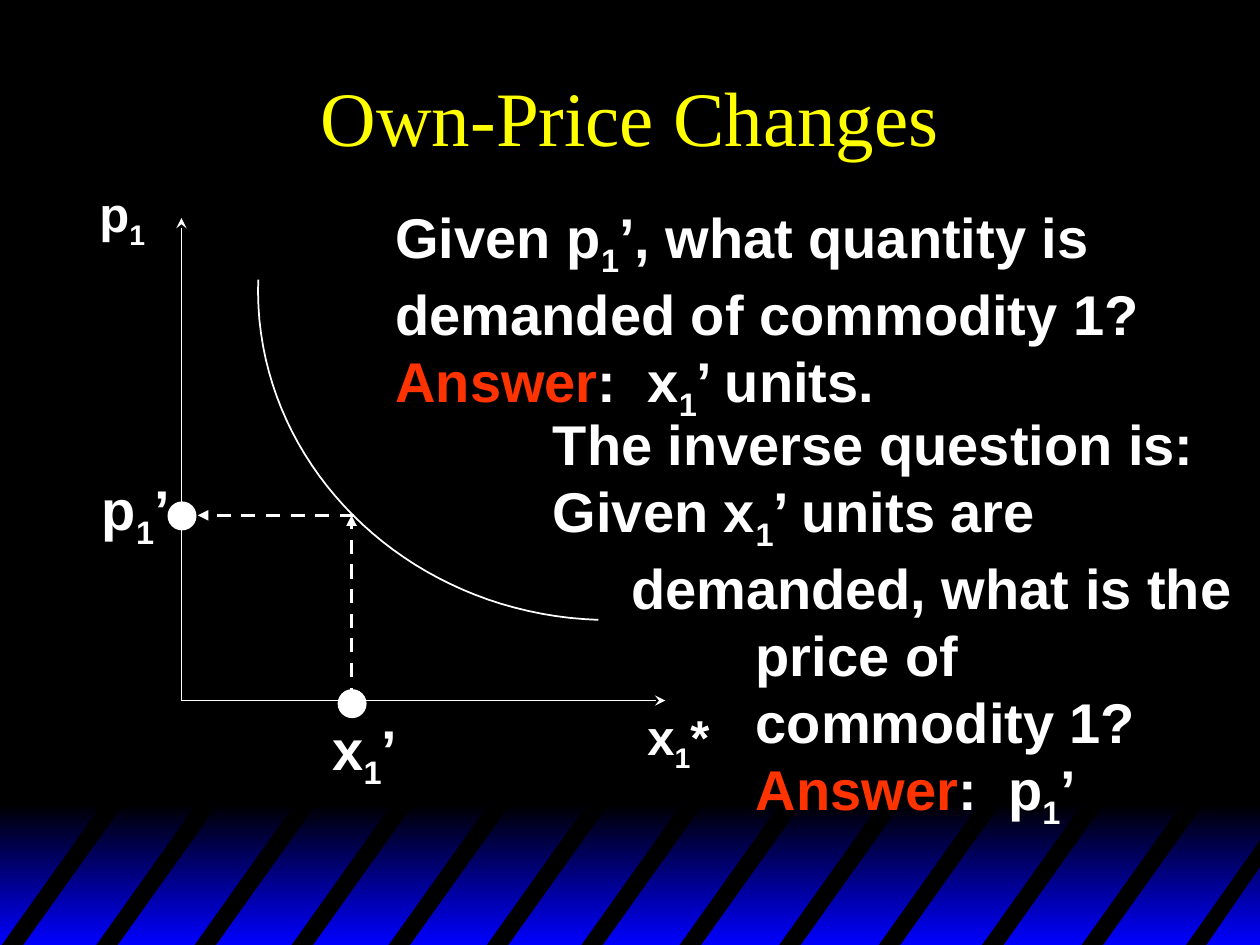
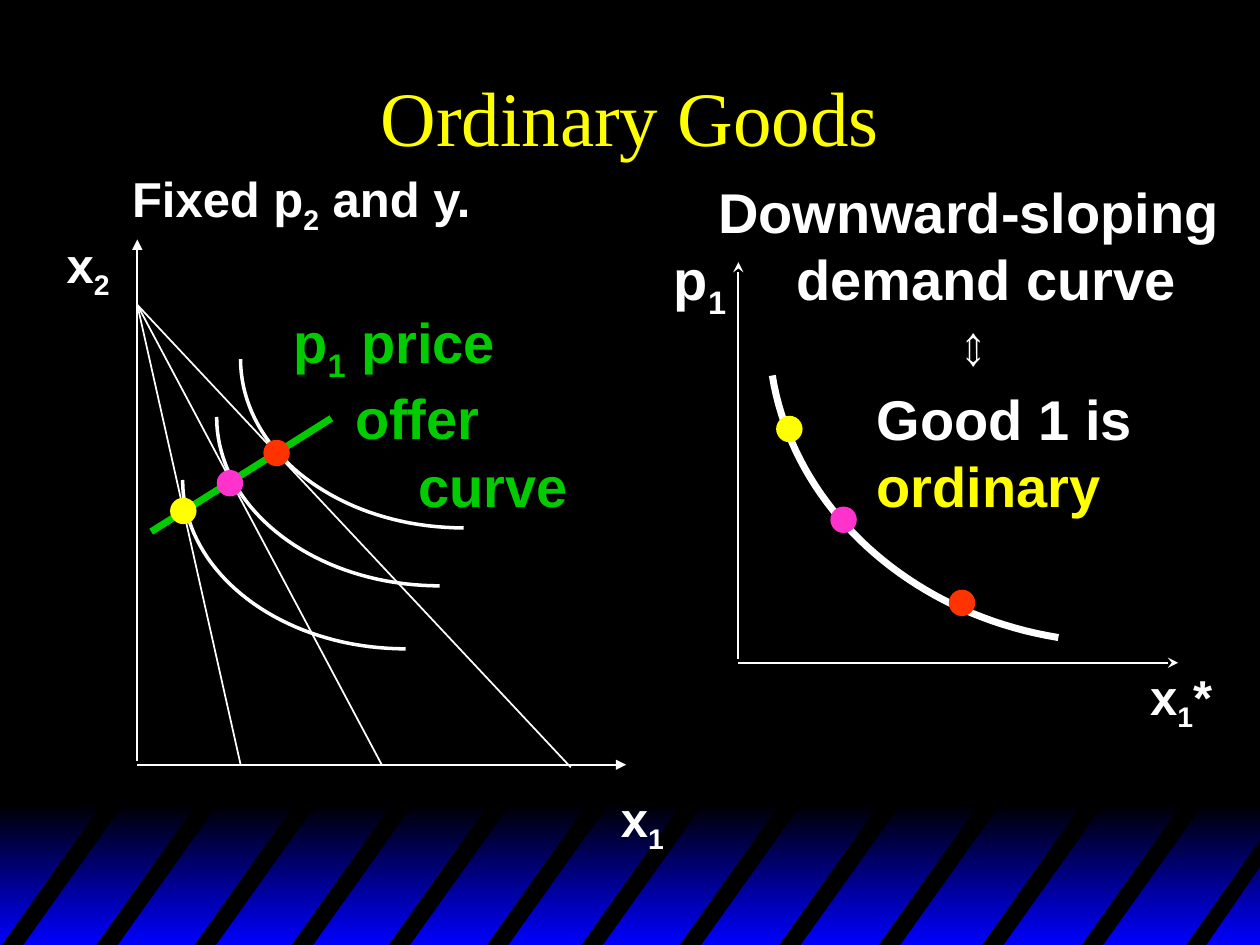
from dataclasses import dataclass

from lxml import etree
from pptx import Presentation
from pptx.dml.color import RGBColor
from pptx.enum.dml import MSO_LINE
from pptx.enum.shapes import MSO_CONNECTOR, MSO_SHAPE
from pptx.enum.text import MSO_ANCHOR, PP_ALIGN
from pptx.oxml.ns import qn
from pptx.util import Inches, Pt

STRAIGHT = MSO_CONNECTOR.STRAIGHT
RECTANGLE = MSO_SHAPE.RECTANGLE
OVAL = MSO_SHAPE.OVAL
DASH = MSO_LINE.DASH
MIDDLE = MSO_ANCHOR.MIDDLE
CENTER = PP_ALIGN.CENTER
TITLE_ONLY = 5
CURVE_STEPS = 40


@dataclass(frozen=True)
class Theme:
    black: RGBColor = RGBColor(0x00, 0x00, 0x00)
    white: RGBColor = RGBColor(0xFF, 0xFF, 0xFF)
    blue: RGBColor = RGBColor(0x00, 0x00, 0xFF)
    yellow: RGBColor = RGBColor(0xFF, 0xFF, 0x00)
    red: RGBColor = RGBColor(0xFF, 0x33, 0x00)
    pink: RGBColor = RGBColor(0xFF, 0x33, 0xCC)
    green: RGBColor = RGBColor(0x00, 0xCC, 0x00)
    title_font: str = "Times New Roman"
    body_font: str = "Arial"
    title_size: int = 44
    body_size: int = 32
    label_size: int = 28


THEME = Theme()


@dataclass(frozen=True)
class Piece:
    text: str
    color: RGBColor = None
    tracking: float = 0


@dataclass(frozen=True)
class Line:
    pieces: tuple
    indent: float = 0


def line(text, indent=0, color=None):
    return Line((Piece(text, color),), indent)


def answer(text, indent=0):
    pieces = (Piece("Answer", THEME.red), Piece(":"), Piece(" ", tracking=8.9), Piece(text))
    return Line(pieces, indent)


def style_font(font, name, size, color, bold=False):
    font.name = name
    font.size = Pt(size)
    font.bold = bold
    font.color.rgb = color


def add_run(paragraph, text, piece, subscript=False):
    if not text:
        return
    run = paragraph.add_run()
    run.text = text
    if piece.color is not None:
        run.font.color.rgb = piece.color
    properties = run._r.get_or_add_rPr()
    if piece.tracking:
        properties.set("spc", str(round(piece.tracking * 100)))
    if subscript:
        properties.set("baseline", "-25000")


def add_piece(paragraph, piece):
    first, *rest = piece.text.split("_")
    add_run(paragraph, first, piece)
    for part in rest:
        add_run(paragraph, part[0], piece, subscript=True)
        add_run(paragraph, part[1:], piece)


def add_text(slide, box, lines, size=THEME.body_size, color=THEME.white):
    holder = slide.shapes.add_textbox(*map(Inches, box))
    frame = holder.text_frame
    frame.word_wrap = True
    for index, content in enumerate(lines):
        paragraph = frame.paragraphs[0] if index == 0 else frame.add_paragraph()
        if content.indent:
            paragraph._p.get_or_add_pPr().set("marL", str(Inches(content.indent)))
        style_font(paragraph.font, THEME.body_font, size, color, bold=True)
        for piece in content.pieces:
            add_piece(paragraph, piece)
    return holder


def add_label(slide, left, top, text, size=THEME.label_size):
    add_text(slide, (left, top, 0.85, 0.65), [line(text)], size)


def add_line(slide, start, end, color=THEME.white, width=1, arrow=None, dashed=False):
    connector = slide.shapes.add_connector(STRAIGHT, *map(Inches, (*start, *end)))
    connector.line.color.rgb = color
    connector.line.width = Pt(width)
    if dashed:
        connector.line.dash_style = DASH
    properties = connector._element.spPr
    if arrow:
        etree.SubElement(properties.find(qn("a:ln")), qn("a:tailEnd"), type=arrow)
    etree.SubElement(properties, qn("a:effectLst"))


def add_freeform(slide, points, close):
    first, *rest = [tuple(map(Inches, point)) for point in points]
    builder = slide.shapes.build_freeform(*first)
    builder.add_line_segments(rest, close=close)
    outline = builder.convert_to_shape()
    outline.shadow.inherit = False
    return outline


def bezier_point(controls, t):
    weights = ((1 - t) ** 3, 3 * t * (1 - t) ** 2, 3 * t ** 2 * (1 - t), t ** 3)
    return tuple(sum(w * c for w, c in zip(weights, axis)) for axis in zip(*controls))


def add_curve(slide, controls, width):
    points = [bezier_point(controls, step / CURVE_STEPS) for step in range(CURVE_STEPS + 1)]
    curve = add_freeform(slide, points, close=False)
    curve.fill.background()
    curve.line.color.rgb = THEME.white
    curve.line.width = Pt(width)


def add_indifference_curve(slide, left, top):
    offsets = ((0, 0), (0, 0.74), (0.79, 1.34), (1.77, 1.34))
    add_curve(slide, [(left + x, top + y) for x, y in offsets], 2)


def add_dot(slide, left, top, size, color):
    dot = slide.shapes.add_shape(OVAL, *map(Inches, (left, top, size, size)))
    dot.shadow.inherit = False
    dot.fill.solid()
    dot.fill.fore_color.rgb = color
    dot.line.fill.background()


def add_striped_band(slide):
    band = slide.shapes.add_shape(RECTANGLE, *map(Inches, (0, 6.38, 10.02, 1.12)))
    band.shadow.inherit = False
    band.line.fill.background()
    band.fill.gradient()
    band.fill.gradient_angle = 270
    for stop, color in zip(band.fill.gradient_stops, (THEME.black, THEME.blue)):
        stop.color.rgb = color

    top, bottom, lean, thickness = 6.34, 7.52, 0.84, 0.17
    lefts = (0, 0.75, 1.53, 2.3, 3.07, 3.85, 4.6, 5.38, 6.17, 6.96, 7.78, 8.57)
    outlines = [
        ((x, bottom), (x + lean, top), (x + lean + thickness, top), (x + thickness, bottom))
        for x in lefts
    ]
    outlines.append(((9.4, bottom), (10.02, 6.64), (10.02, 6.85), (9.56, bottom)))
    stripes = [add_freeform(slide, outline, close=True) for outline in outlines]
    for stripe in stripes:
        stripe.fill.solid()
        stripe.fill.fore_color.rgb = THEME.black
        stripe.line.fill.background()
    return [band, *stripes]


def set_up_layout(layout, slide):
    layout.background.fill.solid()
    layout.background.fill.fore_color.rgb = THEME.black
    for part in add_striped_band(slide):
        layout.shapes._spTree.append(part._element)


def add_titled_slide(presentation, heading):
    slide = presentation.slides.add_slide(presentation.slide_layouts[TITLE_ONLY])
    title = slide.shapes.title
    title.left, title.top, title.width, title.height = map(Inches, (0.75, 0.25, 8.5, 1.33))
    title.text_frame.text = heading
    title.text_frame.vertical_anchor = MIDDLE
    paragraph = title.text_frame.paragraphs[0]
    paragraph.alignment = CENTER
    style_font(paragraph.font, THEME.title_font, THEME.title_size, THEME.yellow)
    return slide


def draw_inverse_demand(slide):
    add_line(slide, (1.44, 5.56), (1.44, 1.73), arrow="stealth")
    add_line(slide, (1.44, 5.56), (5.28, 5.56), arrow="stealth")
    add_label(slide, 0.69, 1.41, "p_1")
    add_label(slide, 5.04, 5.56, "x_1*")
    add_curve(slide, ((2.05, 2.22), (2, 3.66), (3.21, 4.87), (4.75, 4.92)), 1)
    add_line(slide, (2.81, 4.09), (1.57, 4.09), width=2, arrow="triangle", dashed=True)
    add_line(slide, (2.79, 5.57), (2.79, 4.09), width=2, arrow="triangle", dashed=True)
    add_label(slide, 0.71, 3.72, "p_1’", THEME.body_size)
    add_label(slide, 2.54, 5.62, "x_1’", THEME.body_size)
    add_text(slide, (3.04, 1.56, 6.3, 1.85), [
        line("Given p_1’, what quantity is"),
        line("demanded of commodity 1?"),
        answer("x_1’ units."),
    ])
    add_dot(slide, 1.33, 3.98, 0.23, THEME.white)
    add_text(slide, (4.29, 3.2, 5.7, 3.45), [
        line("The inverse question is:"),
        line("Given x_1’ units are"),
        line("demanded, what is the", 0.62),
        line("price of", 1.61),
        line("commodity 1?", 1.61),
        answer("p_1’", 1.61),
    ])
    add_dot(slide, 2.68, 5.47, 0.23, THEME.white)


def draw_offer_curve(slide):
    add_text(slide, (0.95, 1.29, 3.05, 0.63), [line("Fixed p_2 and y.")], THEME.label_size)
    add_line(slide, (1.09, 6.04), (1.09, 1.9), arrow="triangle")
    add_line(slide, (1.09, 6.07), (4.97, 6.07), arrow="triangle")
    add_label(slide, 4.83, 6.21, "x_1")
    add_label(slide, 0.43, 1.81, "x_2")
    for budget_end in ((4.53, 6.09), (3.03, 6.07), (1.91, 6.07)):
        add_line(slide, (1.09, 2.42), budget_end)
    for left, top in ((1.91, 2.85), (1.72, 3.31), (1.45, 3.81)):
        add_indifference_curve(slide, left, top)
    add_line(slide, (1.2, 4.22), (2.63, 3.32), THEME.green, 4)
    add_choices(slide, (1.35, 3.95), (2.09, 3.49), (1.72, 3.73))
    add_text(slide, (2.23, 2.39, 2.5, 1.78), [
        line("p_1 price"), line("offer", 0.49), line("curve", 0.99),
    ], color=THEME.green)


def add_choices(slide, *positions):
    for (left, top), color in zip(positions, (THEME.yellow, THEME.red, THEME.pink)):
        add_dot(slide, left, top, 0.21, color)


def draw_ordinary_demand(slide):
    add_line(slide, (5.86, 5.23), (5.86, 2.08), arrow="stealth")
    add_line(slide, (5.86, 5.26), (9.35, 5.26), arrow="stealth")
    add_label(slide, 9.03, 5.24, "x_1*")
    add_curve(slide, ((6.13, 2.98), (6.3, 4.03), (7.22, 4.87), (8.4, 5.06)), 4)
    add_choices(slide, (6.16, 3.3), (7.53, 4.68), (6.59, 4.02))
    add_text(slide, (5.6, 1.36, 4.31, 1.17), [
        line("Downward-sloping"), line("demand curve", 0.62),
    ])
    add_text(slide, (6.86, 3, 2.35, 1.17), [
        line("Good 1 is"), line("ordinary", color=THEME.yellow),
    ])
    equivalence = add_text(slide, (7.48, 2.46, 0.62, 0.63), [line("⇔")])
    equivalence.rotation = 90
    add_label(slide, 5.25, 1.89, "p_1", THEME.body_size)


def main():
    presentation = Presentation()
    presentation.slide_width = Inches(10)
    presentation.slide_height = Inches(7.5)

    own_price = add_titled_slide(presentation, "Own-Price Changes")
    set_up_layout(own_price.slide_layout, own_price)
    draw_inverse_demand(own_price)

    ordinary_goods = add_titled_slide(presentation, "Ordinary Goods")
    draw_offer_curve(ordinary_goods)
    draw_ordinary_demand(ordinary_goods)

    presentation.save("out.pptx")


if __name__ == "__main__":
    main()
